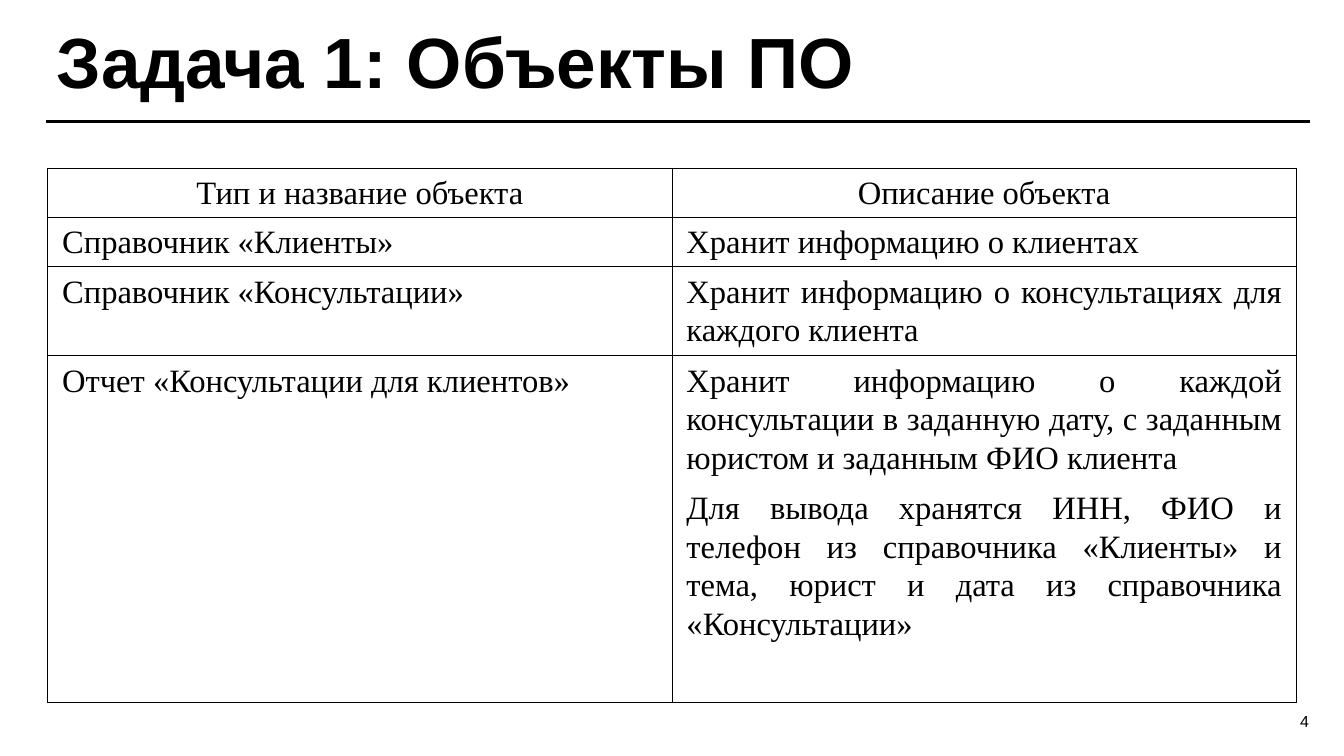
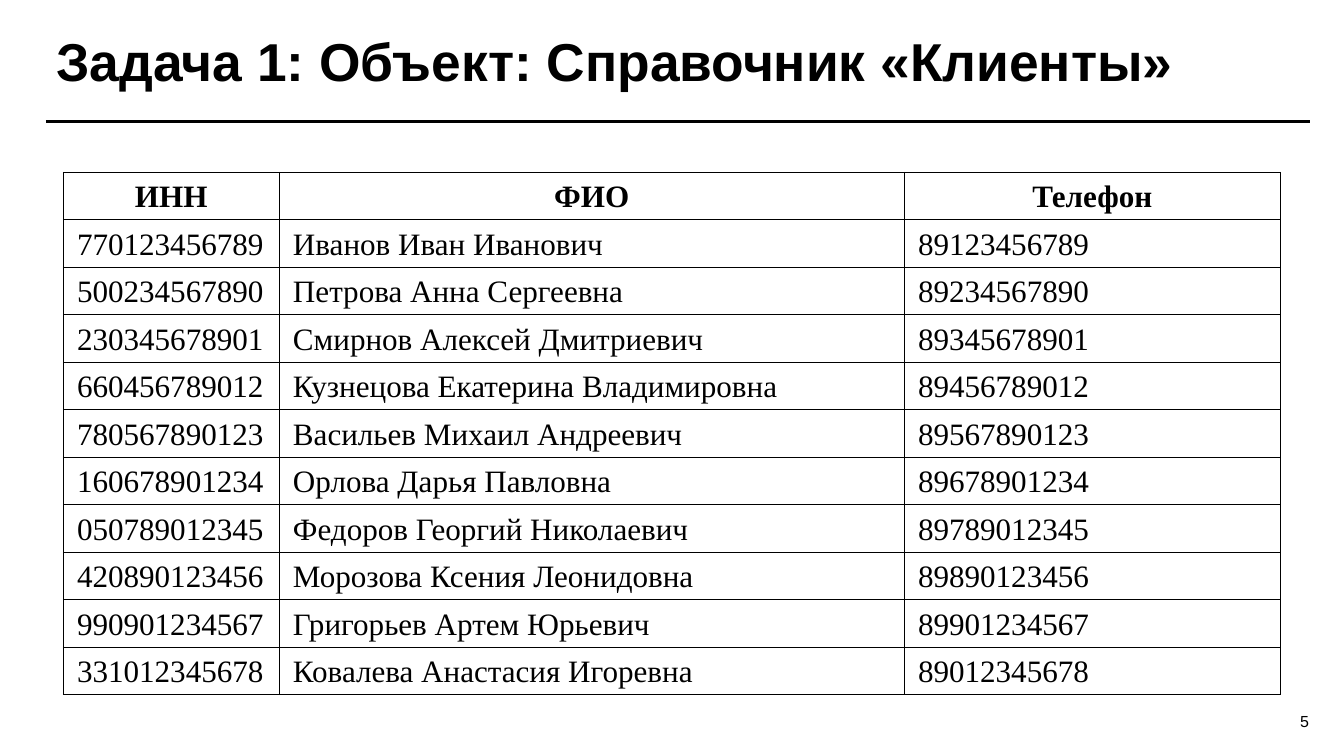
from dataclasses import dataclass
from typing import Any

from lxml import etree
from pptx import Presentation
from pptx.dml.color import RGBColor
from pptx.enum.shapes import MSO_CONNECTOR
from pptx.enum.text import MSO_ANCHOR, MSO_AUTO_SIZE, PP_ALIGN
from pptx.oxml.ns import qn
from pptx.util import Pt

STRAIGHT = MSO_CONNECTOR.STRAIGHT
TOP, MIDDLE = MSO_ANCHOR.TOP, MSO_ANCHOR.MIDDLE
NO_AUTOFIT = MSO_AUTO_SIZE.NONE
LEFT, CENTER, RIGHT, JUSTIFY = PP_ALIGN.LEFT, PP_ALIGN.CENTER, PP_ALIGN.RIGHT, PP_ALIGN.JUSTIFY

COLORS = {"ink": "000000", "paper": "FFFFFF"}
HEADING_FONT, TABLE_FONT = "Arial", "Times New Roman"
SLIDE_WIDTH, SLIDE_HEIGHT = 907.2, 510.5
MARGIN_LEFT, CONTENT_WIDTH = 31, 853
RULE_Y = 82.1
TITLE_ONLY_LAYOUT = 5
THIN, HEADER_EDGE = 0.45, 0.75
CELL_PARAGRAPH = {"line_spacing": 1.07, "space_after": Pt(8)}


@dataclass(frozen=True)
class TableSlide:
    number: int
    title: str
    title_size: float
    left: float
    top: float
    columns: tuple[float, ...]
    row_heights: tuple[float, ...]
    side_margin: float
    text_size: float
    header_bold: bool
    rows: tuple[tuple[str, ...], ...]


OBJECTS = TableSlide(
    number=4,
    title="Задача 1: Объекты ПО",
    title_size=48,
    left=32.2,
    top=113.4,
    columns=(421.4, 421.4),
    row_heights=(33.2, 33.2, 59.4, 234),
    side_margin=9.8,
    text_size=22,
    header_bold=False,
    rows=(
        ("Тип и название объекта", "Описание объекта"),
        ("Справочник «Клиенты»", "Хранит информацию о клиентах"),
        ("Справочник «Консультации»", "Хранит информацию о консультациях для каждого клиента"),
        (
            "Отчет «Консультации для клиентов»",
            "Хранит информацию о каждой консультации в заданную дату, "
            "с заданным юристом и заданным ФИО клиента\n"
            "Для вывода хранятся ИНН, ФИО и телефон из справочника «Клиенты» "
            "и тема, юрист и дата из справочника «Консультации»",
        ),
    ),
)

CLIENT_ROWS = (
    ("ИНН", "ФИО", "Телефон"),
    ("770123456789", "Иванов Иван Иванович", "89123456789"),
    ("500234567890", "Петрова Анна Сергеевна", "89234567890"),
    ("230345678901", "Смирнов Алексей Дмитриевич", "89345678901"),
    ("660456789012", "Кузнецова Екатерина Владимировна", "89456789012"),
    ("780567890123", "Васильев Михаил Андреевич", "89567890123"),
    ("160678901234", "Орлова Дарья Павловна", "89678901234"),
    ("050789012345", "Федоров Георгий Николаевич", "89789012345"),
    ("420890123456", "Морозова Ксения Леонидовна", "89890123456"),
    ("990901234567", "Григорьев Артем Юрьевич", "89901234567"),
    ("331012345678", "Ковалева Анастасия Игоревна", "89012345678"),
)

CLIENTS = TableSlide(
    number=5,
    title="Задача 1: Объект: Справочник «Клиенты»",
    title_size=36,
    left=42.7,
    top=116.2,
    columns=(145.8, 421.9, 254),
    row_heights=(32.1,) * len(CLIENT_ROWS),
    side_margin=9.3,
    text_size=21,
    header_bold=True,
    rows=CLIENT_ROWS,
)


def color(name: str) -> RGBColor:
    return RGBColor.from_string(COLORS[name])


def apply(target: Any, values: dict[str, Any]) -> None:
    for attribute, value in values.items():
        setattr(target, attribute, value)


def format_text(frame: Any, font: str, size: float, bold: bool, align: Any, **paragraph_format: Any) -> None:
    for paragraph in frame.paragraphs:
        apply(paragraph, {"alignment": align, **paragraph_format})
        apply(paragraph.font, {"name": font, "size": Pt(size), "bold": bold})
        paragraph.font.color.rgb = color("ink")


def place(shape: Any, left: float, top: float, width: float, height: float) -> None:
    apply(shape, {"left": Pt(left), "top": Pt(top), "width": Pt(width), "height": Pt(height)})


def add_title(slide: Any, text: str, size: float) -> None:
    title = slide.shapes.title
    place(title, MARGIN_LEFT, 5.8, CONTENT_WIDTH, 69.8)
    frame = title.text_frame
    frame.text = text
    apply(frame, {"auto_size": NO_AUTOFIT, "word_wrap": True, "vertical_anchor": MIDDLE})
    format_text(frame, HEADING_FONT, size, True, LEFT)


def add_title_rule(slide: Any) -> None:
    rule = slide.shapes.add_connector(
        STRAIGHT, Pt(MARGIN_LEFT), Pt(RULE_Y), Pt(MARGIN_LEFT + CONTENT_WIDTH), Pt(RULE_Y)
    )
    rule.line.width = Pt(2.25)
    rule.line.color.rgb = color("ink")
    etree.SubElement(rule._element.spPr, qn("a:effectLst"))


def add_page_number(slide: Any, number: int) -> None:
    frame = slide.shapes.add_textbox(Pt(679), Pt(477), Pt(211.7), Pt(21.6)).text_frame
    frame.word_wrap = True
    frame.text = str(number)
    format_text(frame, HEADING_FONT, 10.8, False, RIGHT)


def add_border(cell: Any, side: str, width: float) -> None:
    edge = etree.SubElement(cell._tc.get_or_add_tcPr(), qn(f"a:ln{side}"), w=str(int(Pt(width))))
    fill = etree.SubElement(edge, qn("a:solidFill"))
    etree.SubElement(fill, qn("a:srgbClr"), val=COLORS["ink"])


def fill_cell(cell: Any, text: str, row: int, content: TableSlide) -> None:
    is_header = row == 0
    widths = {
        "L": THIN,
        "R": THIN,
        "T": HEADER_EDGE if row == 1 else THIN,
        "B": HEADER_EDGE if is_header else THIN,
    }
    for side, width in widths.items():
        add_border(cell, side, width)
    cell.fill.background()
    margin = Pt(content.side_margin)
    apply(cell, {
        "margin_left": margin,
        "margin_right": margin,
        "margin_top": Pt(3.6),
        "margin_bottom": Pt(0),
        "vertical_anchor": TOP,
    })
    cell.text_frame.text = text
    format_text(
        cell.text_frame,
        TABLE_FONT,
        content.text_size,
        is_header and content.header_bold,
        CENTER if is_header else JUSTIFY,
        **CELL_PARAGRAPH,
    )


def add_content_table(slide: Any, content: TableSlide) -> None:
    table = slide.shapes.add_table(
        len(content.rows),
        len(content.columns),
        Pt(content.left),
        Pt(content.top),
        Pt(sum(content.columns)),
        Pt(sum(content.row_heights)),
    ).table
    apply(table, {"first_row": False, "horz_banding": False})
    for column, width in zip(table.columns, content.columns):
        column.width = Pt(width)
    for row, height in zip(table.rows, content.row_heights):
        row.height = Pt(height)
    for row_index, texts in enumerate(content.rows):
        for column_index, text in enumerate(texts):
            fill_cell(table.cell(row_index, column_index), text, row_index, content)


def add_table_slide(deck: Any, content: TableSlide) -> None:
    slide = deck.slides.add_slide(deck.slide_layouts[TITLE_ONLY_LAYOUT])
    slide.background.fill.solid()
    slide.background.fill.fore_color.rgb = color("paper")
    add_title_rule(slide)
    add_page_number(slide, content.number)
    add_title(slide, content.title, content.title_size)
    add_content_table(slide, content)


def main() -> None:
    deck = Presentation()
    apply(deck, {"slide_width": Pt(SLIDE_WIDTH), "slide_height": Pt(SLIDE_HEIGHT)})
    for content in (OBJECTS, CLIENTS):
        add_table_slide(deck, content)
    deck.save("out.pptx")


if __name__ == "__main__":
    main()
